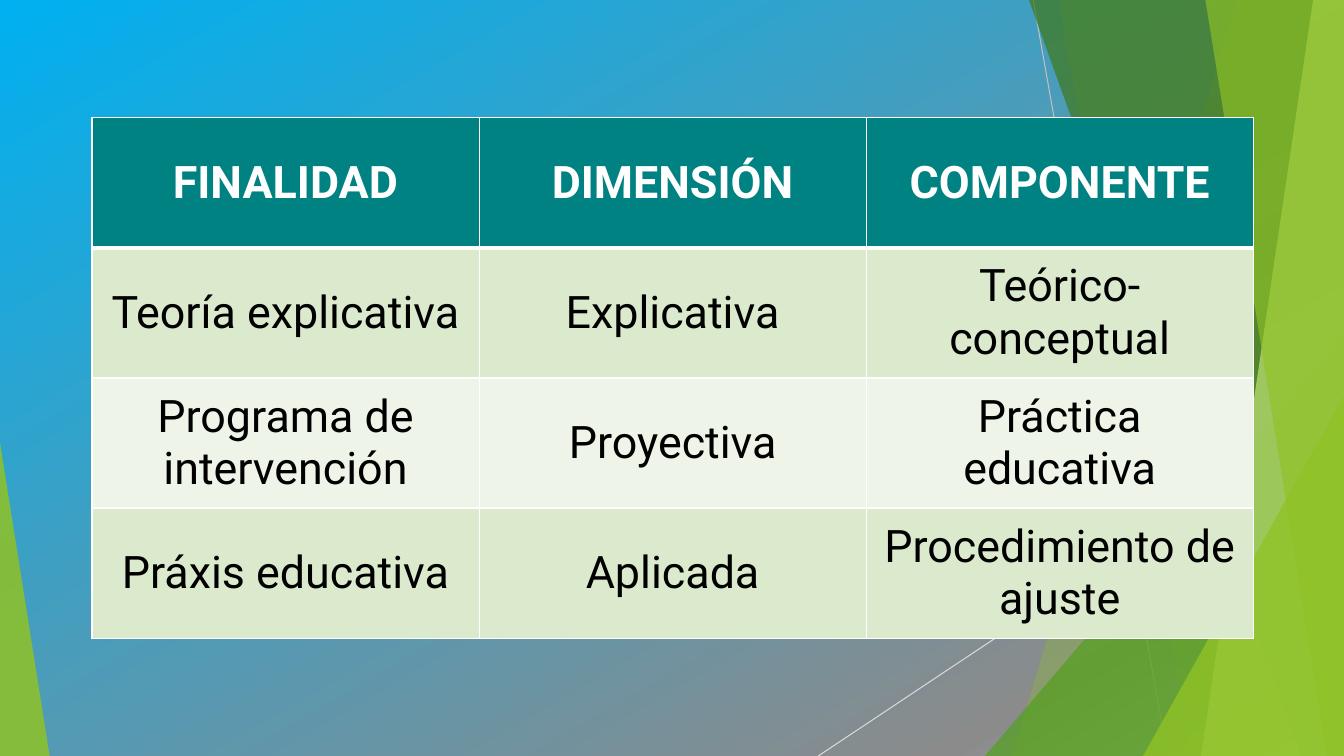
from copy import deepcopy

from lxml import etree
from pptx import Presentation
from pptx.dml.color import RGBColor
from pptx.enum import shapes, text
from pptx.oxml import ns
from pptx.util import Pt

WIDTH, HEIGHT = 960, 540
GREEN = "90C226"

HEADINGS = ["FINALIDAD", "DIMENSIÓN", "COMPONENTE"]
ROWS = [
    ["Teoría explicativa", "Explicativa", "Teórico-conceptual"],
    ["Programa de intervención", "Proyectiva", "Práctica educativa"],
    ["Práxis educativa", "Aplicada", "Procedimiento de ajuste"],
]


def color(value):
    return RGBColor.from_string(value)


def paint(shape, value, opacity):
    """Fill a shape with a see-through colour, without outline or shadow."""
    shape.shadow.inherit = False
    shape.line.fill.background()
    shape.fill.solid()
    shape.fill.fore_color.rgb = color(value)
    tint = shape.fill._xPr.find(".//" + ns.qn("a:srgbClr"))
    etree.SubElement(tint, ns.qn("a:alpha"), val=str(opacity * 1000))


def add_line(page, start, end, value):
    line = page.shapes.add_connector(
        shapes.MSO_CONNECTOR.STRAIGHT, *map(Pt, start + end))
    line.line.color.rgb = color(value)
    line.line.width = Pt(0.75)
    etree.SubElement(line._element.spPr, ns.qn("a:effectLst"))


def add_band(page, top_left, bottom_left, value, opacity):
    """Draw a full-height band that reaches the right edge of the slide."""
    builder = page.shapes.build_freeform(Pt(top_left), 0)
    corners = [(WIDTH, 0), (WIDTH, HEIGHT), (bottom_left, HEIGHT)]
    builder.add_line_segments([(Pt(x), Pt(y)) for x, y in corners])
    paint(builder.convert_to_shape(), value, opacity)


def add_triangle(page, left, top, width, peak, value, opacity):
    """Draw a triangle standing on the bottom edge of the slide."""
    triangle = page.shapes.add_shape(
        shapes.MSO_SHAPE.ISOSCELES_TRIANGLE,
        Pt(left), Pt(top), Pt(width), Pt(HEIGHT - top))
    triangle.adjustments[0] = peak
    paint(triangle, value, opacity)


def add_background(page):
    fill = page.background.fill
    fill.gradient()
    fill.gradient_angle = 300
    stop_list = page.element.find(".//" + ns.qn("a:gsLst"))
    stop_list.append(deepcopy(stop_list[-1]))
    stops = [(0, "00B0F0"), (0.85, "8B8B8B"), (1, "BCBCBC")]
    for stop, (position, value) in zip(fill.gradient_stops, stops):
        stop.position = position
        stop.color.rgb = color(value)


def add_facets(page):
    add_line(page, (738, 0), (834, HEIGHT), "BFBFBF")
    add_line(page, (WIDTH, 290), (584.5, HEIGHT), "D9D9D9")
    add_band(page, 883.5, 723, GREEN, 30)
    add_band(page, 756, 851, GREEN, 20)
    add_triangle(page, 703.5, 240, 256.5, 1, "54A021", 72)
    add_band(page, 735, 929.5, "3F7819", 70)
    add_band(page, 938, 858, "C0E474", 70)
    add_band(page, 861, 948, GREEN, 65)
    add_triangle(page, 816.5, 283, 143.5, 1, GREEN, 80)
    add_triangle(page, 0, 316, 35.5, 0, GREEN, 85)


def add_border(cell, side, width):
    line = etree.SubElement(
        cell._tc.get_or_add_tcPr(), ns.qn("a:ln" + side), w=str(Pt(width)))
    solid = etree.SubElement(line, ns.qn("a:solidFill"))
    etree.SubElement(solid, ns.qn("a:srgbClr"), val="FFFFFF")


def fill_cell(cell, wording, fill, ink, bold, borders):
    for side, width in borders.items():
        add_border(cell, side, width)
    cell.fill.solid()
    cell.fill.fore_color.rgb = color(fill)
    cell.vertical_anchor = text.MSO_ANCHOR.MIDDLE
    cell.text = wording
    para = cell.text_frame.paragraphs[0]
    para.alignment = text.PP_ALIGN.CENTER
    para.font.name = "Roboto"
    para.font.size = Pt(32)
    para.font.bold = bold
    para.font.color.rgb = color(ink)


def add_purpose_table(page, left, top, width, height):
    lines = [HEADINGS] + ROWS
    table = page.shapes.add_table(
        len(lines), len(HEADINGS),
        Pt(left), Pt(top), Pt(width), Pt(height)).table
    for r, line in enumerate(lines):
        header = r == 0
        fill = "008282" if header else ("EEF4E8", "DBE9CD")[r % 2]
        ink = "FFFFFF" if header else "000000"
        borders = {"L": 1, "R": 1, "T": 3 if r == 1 else 1,
                   "B": 3 if header else 1}
        for c, wording in enumerate(line):
            fill_cell(table.cell(r, c), wording, fill, ink, header, borders)


def main():
    deck = Presentation()
    deck.slide_width, deck.slide_height = Pt(WIDTH), Pt(HEIGHT)
    page = deck.slides.add_slide(deck.slide_layouts[6])
    add_background(page)
    add_facets(page)
    add_purpose_table(page, 65.75, 84, 829.5, 372)
    deck.save("out.pptx")


if __name__ == "__main__":
    main()
